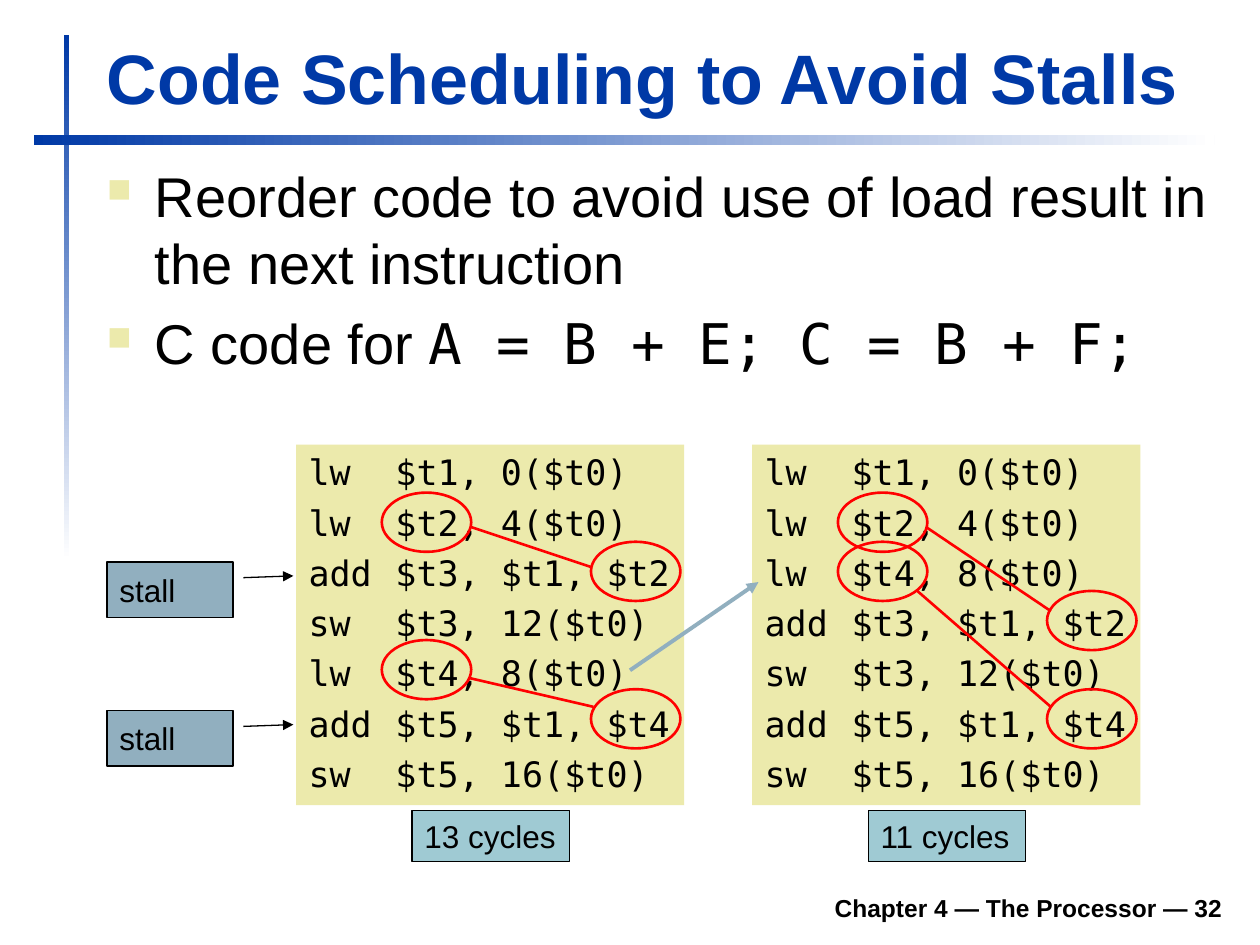
from pptx import Presentation
from pptx.dml.color import RGBColor
from pptx.enum.shapes import MSO_CONNECTOR as Link, MSO_SHAPE as Shape
from pptx.enum.text import MSO_ANCHOR as Anchor, PP_ALIGN as Align
from pptx.oxml.ns import qn
from pptx.util import Inches, Pt
from lxml.etree import SubElement

COLORS = {
    "blue": "0039A6", "white": "FFFFFF", "black": "000000", "cream": "ECEAAC",
    "steel": "91AFBF", "aqua": "9FCAD3", "red": "FF0000",
}
SANS, MONO = "Arial", "DejaVu Sans Mono"


class SlideBuilder:
    def __init__(self, page):
        self.page = page

    def color(self, name):
        return RGBColor.from_string(COLORS[name])

    def span(self, para, text, size, font=SANS, color="black", bold=False):
        span = para.add_run()
        span.text = text
        span.font.size = Pt(size)
        span.font.name = font
        span.font.bold = bold
        span.font.color.rgb = self.color(color)

    def arrowhead(self, line):
        SubElement(line._get_or_add_ln(), qn("a:tailEnd"), type="triangle")

    def shape(self, kind, place, fill=None, line=None, width=0.75):
        shape = self.page.shapes.add_shape(kind, *map(Inches, place))
        shape.shadow.inherit = False
        if fill:
            shape.fill.solid()
            shape.fill.fore_color.rgb = self.color(fill)
        else:
            shape.fill.background()
        if line:
            shape.line.color.rgb = self.color(line)
            shape.line.width = Pt(width)
        else:
            shape.line.fill.background()
        return shape

    def fading_bar(self, place, angle):
        bar = self.shape(Shape.RECTANGLE, place)
        bar.fill.gradient()
        bar.fill.gradient_angle = angle
        for stop, name, position in zip(bar.fill.gradient_stops, ("blue", "white"), (0, 1)):
            stop.color.rgb = self.color(name)
            stop.position = position

    def text(self, place, text, size, color="black", align=Align.LEFT):
        box = self.page.shapes.add_textbox(*map(Inches, place))
        frame = box.text_frame
        frame.word_wrap = True
        frame.vertical_anchor = Anchor.BOTTOM
        para = frame.paragraphs[0]
        para.alignment = align
        self.span(para, text, size, color=color, bold=True)

    def bullets(self, place, items, size):
        frame = self.page.shapes.add_textbox(*map(Inches, place)).text_frame
        frame.word_wrap = True
        for index, item in enumerate(items):
            para = frame.add_paragraph() if index else frame.paragraphs[0]
            props = para._p.get_or_add_pPr()
            props.set("marL", str(Inches(0.38)))
            props.set("indent", str(-Inches(0.38)))
            para.space_before = Pt(size * 0.23 if index else 0)
            tint = SubElement(props, qn("a:buClr"))
            SubElement(tint, qn("a:srgbClr"), val=COLORS["cream"])
            SubElement(props, qn("a:buSzPct"), val="60000")
            SubElement(props, qn("a:buChar"), char="■")
            for text, font in item:
                self.span(para, text, size, font)

    def label(self, place, text, fill, kind=Shape.RECTANGLE):
        box = self.shape(kind, place, fill, "black")
        frame = box.text_frame
        frame.word_wrap = True
        frame.vertical_anchor = Anchor.MIDDLE
        para = frame.paragraphs[0]
        para.alignment = Align.LEFT
        self.span(para, text, 18)
        return box

    def callout(self, place, text, fill):
        box = self.label(place, text, fill, Shape.LINE_CALLOUT_1)
        for index, value in enumerate((0.285, 1.083, 0.253, 1.479)):
            box.adjustments[index] = value
        self.arrowhead(box.line)

    def code(self, place, lines):
        frame = self.shape(Shape.RECTANGLE, place, "cream").text_frame
        frame.word_wrap = False
        frame.vertical_anchor = Anchor.TOP
        for index, text in enumerate(lines):
            para = frame.add_paragraph() if index else frame.paragraphs[0]
            para.alignment = Align.LEFT
            para.space_before = Pt(4.7 if index else 0)
            tabs = SubElement(para._p.get_or_add_pPr(), qn("a:tabLst"))
            SubElement(tabs, qn("a:tab"), pos=str(Inches(0.69)), algn="l")
            self.span(para, text, 20, MONO)

    def line(self, start, end, color, width, arrow=False):
        line = self.page.shapes.add_connector(Link.STRAIGHT, *map(Inches, start + end))
        line.line.color.rgb = self.color(color)
        line.line.width = Pt(width)
        if arrow:
            self.arrowhead(line.line)
        SubElement(line._element.spPr, qn("a:effectLst"))


def main():
    deck = Presentation()
    deck.slide_width, deck.slide_height = Inches(10), Inches(7.5)
    slide = SlideBuilder(deck.slides.add_slide(deck.slide_layouts[6]))

    slide.fading_bar((0.51, 0.28, 0.04, 4.17), 270)
    slide.fading_bar((0.27, 1.07, 9.37, 0.08), 0)
    slide.text((1.85, 6.98, 7.95, 0.39), "Chapter 4 — The Processor — 32", 14, align=Align.RIGHT)
    slide.text((0.75, 0.16, 9.03, 0.83), "Code Scheduling to Avoid Stalls", 40, "blue")
    slide.bullets((0.75, 1.23, 9.05, 2.02), [
        [("Reorder code to avoid use of load result in the next instruction", SANS)],
        [("C code for ", SANS), ("A = B + E; C = B + F;", MONO)],
    ], 32)

    original = [
        "lw\t$t1, 0($t0)", "lw\t$t2, 4($t0)", "add\t$t3, $t1, $t2", "sw\t$t3, 12($t0)",
        "lw\t$t4, 8($t0)", "add\t$t5, $t1, $t4", "sw\t$t5, 16($t0)",
    ]
    reordered = [original[index] for index in (0, 1, 4, 2, 3, 5, 6)]
    load_column, use_column = 0.68, 2.34
    panels = [
        (2.35, original, "13 cycles", (1, 4), (2, 5),
         [((3.73, 4.18), (4.69, 4.5)), ((3.72, 5.38), (4.71, 5.61))]),
        (5.97, reordered, "11 cycles", (1, 2), (3, 5),
         [((7.36, 4.19), (8.34, 4.85)), ((7.28, 4.69), (8.34, 5.61))]),
    ]

    for left, lines, *_ in panels:
        slide.code((left, 3.53, 3.08, 2.86), lines)
    for top in (4.46, 5.64):
        slide.callout((0.85, top, 1, 0.44), "stall", "steel")
    slide.line((5, 5.32), (6.02, 4.62), "steel", 2.25, arrow=True)

    for left, _, cycles, loads, uses, links in panels:
        for column, rows in ((load_column, loads), (use_column, uses)):
            for row in rows:
                top = 3.52 + 0.39 * row
                slide.shape(Shape.OVAL, (left + column, top, 0.71, 0.47), line="red", width=1.5)
        for start, end in links:
            slide.line(start, end, "red", 1.5)
        slide.label((left + 0.92, 6.43, 1.25, 0.41), cycles, "aqua")

    deck.save("out.pptx")


if __name__ == "__main__":
    main()
